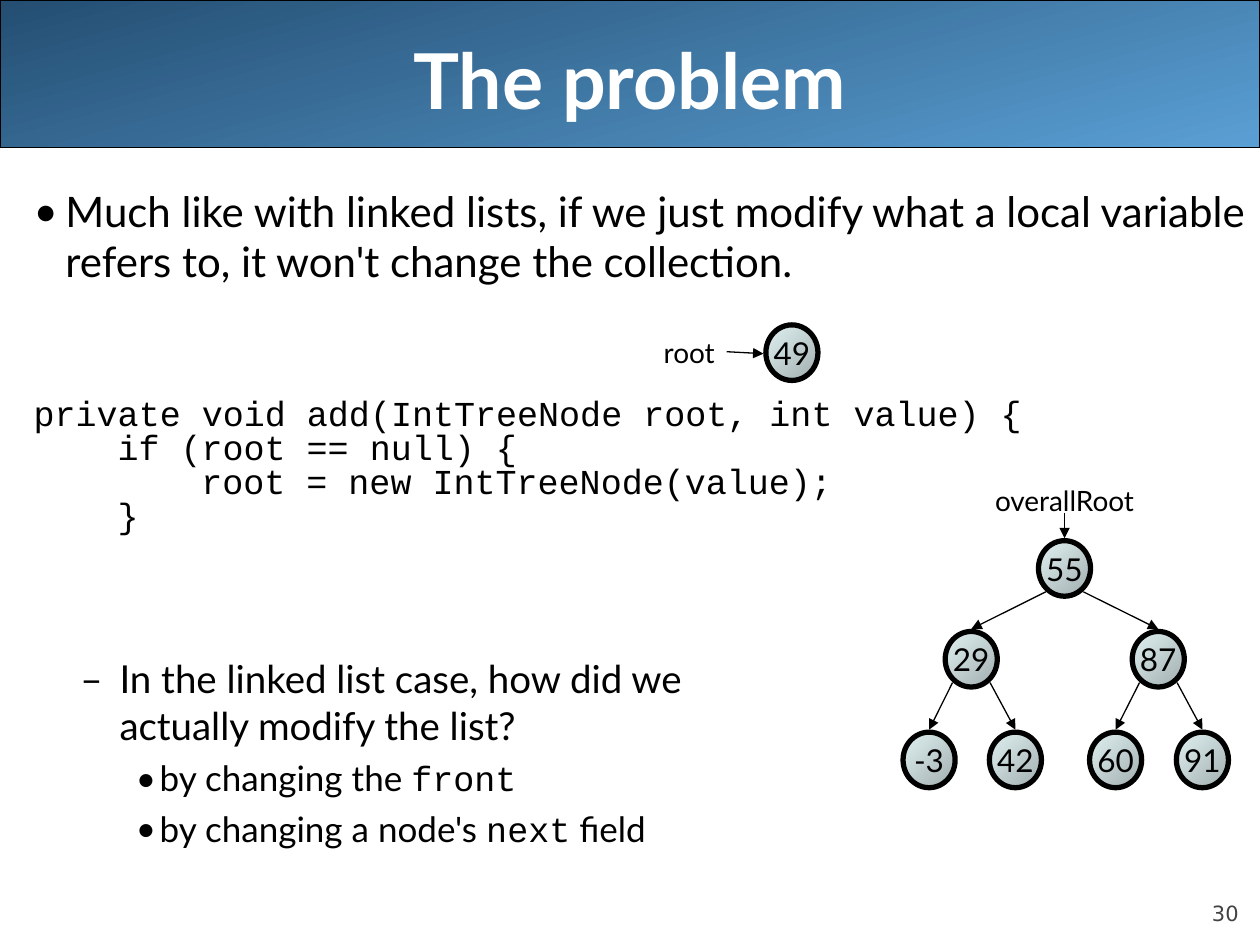
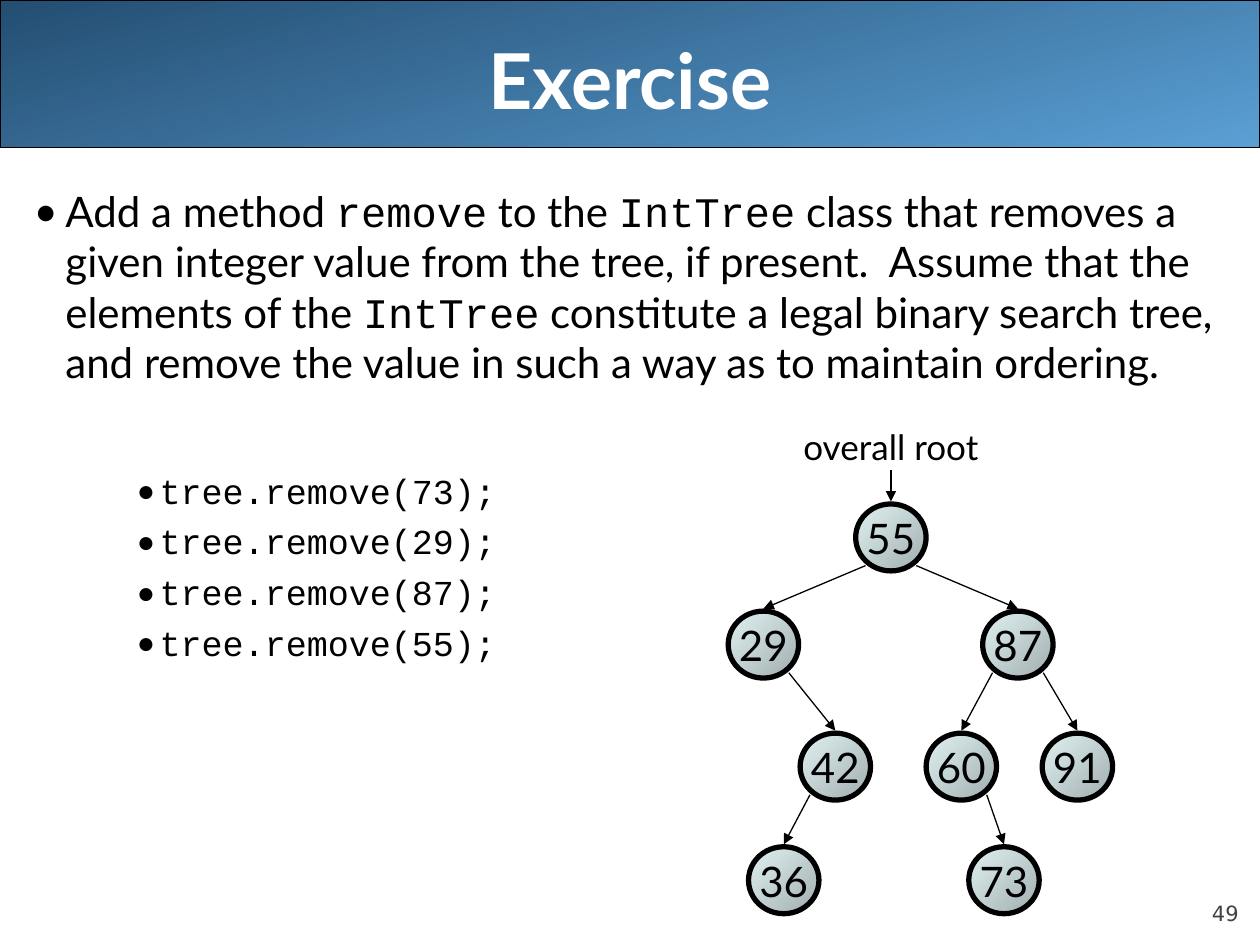
from lxml.etree import SubElement
from pptx import Presentation
from pptx.dml.color import RGBColor
from pptx.enum.shapes import MSO_CONNECTOR as Link, MSO_SHAPE as Shape
from pptx.enum.text import MSO_ANCHOR as Anchor, PP_ALIGN as Align
from pptx.oxml.ns import qn
from pptx.util import Cm, Pt

BLACK, WHITE, GREY = "000000", "FFFFFF", "424242"
BAND_COLOURS = ("244E72", "5A9FD4")
NODE_COLOURS = ("A1ADAE", "E1F2F3")
SANS, MONO, NUMBER_FONT = "Lato", "Courier New", "DejaVu Sans"
BODY_BOX = (0.43, 3.61, 24.97, 14.4)
LEVELS = {
    0: dict(size=24, margin=0.64, hang=0.64, mark="•", before=6),
    1: dict(size=22, margin=1.73, hang=0.79, mark="–", before=5.5),
    2: dict(size=20, margin=2.54, hang=0.48, mark="•", before=5),
}
CODE_SIZE, CODE_STEP = 20, 1.69


def colour(value):
    return RGBColor.from_string(value)


def add_span(para, text, size, font=SANS, shade=BLACK, bold=False):
    span = para.add_run()
    span.text = text
    span.font.size = Pt(size)
    span.font.name = font
    span.font.bold = bold
    span.font.color.rgb = colour(shade)


def add_box(slide, left, top, width, height, wrap=True, anchor=Anchor.TOP):
    box = slide.shapes.add_textbox(Cm(left), Cm(top), Cm(width), Cm(height))
    frame = box.text_frame
    frame.word_wrap = wrap
    frame.vertical_anchor = anchor
    return frame


def add_label(slide, left, top, width, height, text, size):
    para = add_box(slide, left, top, width, height, wrap=False).paragraphs[0]
    para.alignment = Align.CENTER
    add_span(para, text, size)


def add_filled(slide, kind, left, top, width, height, colours, angle, weight):
    shape = slide.shapes.add_shape(kind, Cm(left), Cm(top), Cm(width), Cm(height))
    shape.shadow.inherit = False
    shape.fill.gradient()
    shape.fill.gradient_angle = 360 - angle
    for stop, shade in zip(shape.fill.gradient_stops, colours):
        stop.color.rgb = colour(shade)
    shape.line.color.rgb = colour(BLACK)
    shape.line.width = Pt(weight)
    return shape


def add_node(slide, left, top, width, height, text, size):
    node = add_filled(slide, Shape.OVAL, left, top, width, height, NODE_COLOURS, 225, 3)
    frame = node.text_frame
    frame.word_wrap = False
    frame.vertical_anchor = Anchor.MIDDLE
    para = frame.paragraphs[0]
    para.alignment = Align.CENTER
    add_span(para, text, size)


def add_arrow(slide, x1, y1, x2, y2):
    arrow = slide.shapes.add_connector(Link.STRAIGHT, Cm(x1), Cm(y1), Cm(x2), Cm(y2))
    arrow.line.color.rgb = colour(BLACK)
    arrow.line.width = Pt(0.75)
    SubElement(arrow.line._get_or_add_ln(), qn("a:tailEnd"), type="triangle")
    SubElement(arrow._element.spPr, qn("a:effectLst"))


def next_para(frame):
    first = frame.paragraphs[0]
    return frame.add_paragraph() if first.runs else first


def add_bullet(frame, level, spans, gap=0):
    style = LEVELS[level]
    para = next_para(frame)
    para.level = level
    para.space_before = Pt(style["before"] + gap)
    props = para._p.get_or_add_pPr()
    props.set("marL", str(Cm(style["margin"])))
    props.set("indent", str(-Cm(style["hang"])))
    SubElement(props, qn("a:buFont"), typeface=SANS)
    SubElement(props, qn("a:buChar"), char=style["mark"])
    for text, font in spans:
        for index, line in enumerate(text.split("\n")):
            if index:
                para.add_line_break()
            add_span(para, line, style["size"], font)


def add_code(frame, lines, gap):
    for index, (depth, text) in enumerate(lines):
        para = next_para(frame)
        para.line_spacing = 0.6
        para.space_before = Pt(5 if index else 5 + gap)
        para._p.get_or_add_pPr().set("marL", str(Cm(depth * CODE_STEP)))
        add_span(para, text, CODE_SIZE, MONO)


def add_tree(slide, left, top, label, nodes, row_tops, node_size, text_size, label_box, arrow_top):
    width, height = node_size
    centres = {}
    for value, x, row, parent in nodes:
        node_x, node_top = left + x, top + row_tops[row]
        centres[value] = node_x, node_top + height / 2
        add_node(slide, node_x - width / 2, node_top, width, height, value, text_size)
        if parent:
            parent_x, parent_y = centres[parent]
            side = 1 if node_x > parent_x else -1
            start = parent_x + side * 0.36 * width, parent_y + 0.42 * height
        else:
            start = node_x, top + arrow_top
            label_width, label_height, label_size = label_box
            add_label(slide, node_x - label_width / 2, top, label_width, label_height,
                      label, label_size)
        add_arrow(slide, *start, node_x, node_top - 0.05)


def add_local_root(slide, left, top):
    add_label(slide, left, top + 0.08, 1.63, 0.94, "root", 16)
    add_node(slide, left + 2.36, top, 1.05, 1.12, "49", 18)
    add_arrow(slide, left + 1.57, top + 0.54, left + 2.31, top + 0.58)


def add_frame(deck, title, number):
    slide = deck.slides.add_slide(deck.slide_layouts[6])
    add_filled(slide, Shape.RECTANGLE, 0, 0, 25.4, 2.97, BAND_COLOURS, 75, 0.75)
    page = add_box(slide, 22.86, 17.65, 2.11, 1.02, anchor=Anchor.BOTTOM)
    page.margin_left = page.margin_right = page.margin_top = page.margin_bottom = 0
    page.paragraphs[0].alignment = Align.RIGHT
    add_span(page.paragraphs[0], number, 12, NUMBER_FONT, GREY)
    heading = add_box(slide, 1.27, 0, 22.86, 3.18, anchor=Anchor.MIDDLE).paragraphs[0]
    heading.alignment = Align.CENTER
    add_span(heading, title, 44, shade=WHITE, bold=True)
    return slide, add_box(slide, *BODY_BOX)


def build_problem(deck):
    slide, body = add_frame(deck, "The problem", "30")
    add_bullet(body, 0, [("Much like with linked lists, if we just modify what a local variable "
                          "refers to, it won't change the collection.", SANS)])
    add_code(body, [
        (0, "private void add(IntTreeNode root, int value) {"),
        (1, "if (root == null) {"),
        (2, "root = new IntTreeNode(value);"),
        (1, "}"),
    ], gap=64)
    add_bullet(body, 1, [("In the linked list case, how did we\nactually modify the list?", SANS)],
               gap=64)
    add_bullet(body, 2, [("by changing the ", SANS), ("front", MONO)])
    add_bullet(body, 2, [("by changing a node's ", SANS), ("next", MONO), (" field", SANS)])
    add_tree(slide, 18.21, 9.63, "overallRoot", [
        ("55", 3.25, 0, None),
        ("29", 1.37, 1, "55"), ("87", 5.14, 1, "55"),
        ("-3", 0.52, 2, "29"), ("42", 2.26, 2, "29"),
        ("60", 4.28, 2, "87"), ("91", 6.03, 2, "87"),
    ], (1.27, 3.1, 5.13), (1.05, 1.12), 18, (3.53, 0.94, 16), 0.71)
    add_local_root(slide, 13.08, 6.55)


def build_exercise(deck):
    slide, body = add_frame(deck, "Exercise", "49")
    add_bullet(body, 0, [
        ("Add a method ", SANS), ("remove", MONO), (" to the ", SANS), ("IntTree", MONO),
        (" class that removes a given integer value from the tree, if present.  "
         "Assume that the elements of the ", SANS), ("IntTree", MONO),
        (" constitute a legal binary search tree, and remove the value in such a way "
         "as to maintain ordering.", SANS),
    ])
    for index, value in enumerate((73, 29, 87, 55)):
        add_bullet(body, 2, [(f"tree.remove({value});", MONO)], gap=0 if index else 42)
    add_tree(slide, 14.68, 8.46, "overall root", [
        ("55", 3.28, 0, None),
        ("29", 0.71, 1, "55"), ("87", 5.84, 1, "55"),
        ("42", 2.16, 2, "29"), ("60", 4.7, 2, "87"), ("91", 7.04, 2, "87"),
        ("36", 1.12, 3, "42"), ("73", 5.56, 3, "60"),
    ], (1.7, 3.86, 6.32, 8.61), (1.42, 1.35), 24, (4.32, 1.12, 20), 1.01)


def main():
    deck = Presentation()
    deck.slide_width, deck.slide_height = Cm(25.4), Cm(19.05)
    build_problem(deck)
    build_exercise(deck)
    deck.save("out.pptx")


if __name__ == "__main__":
    main()
